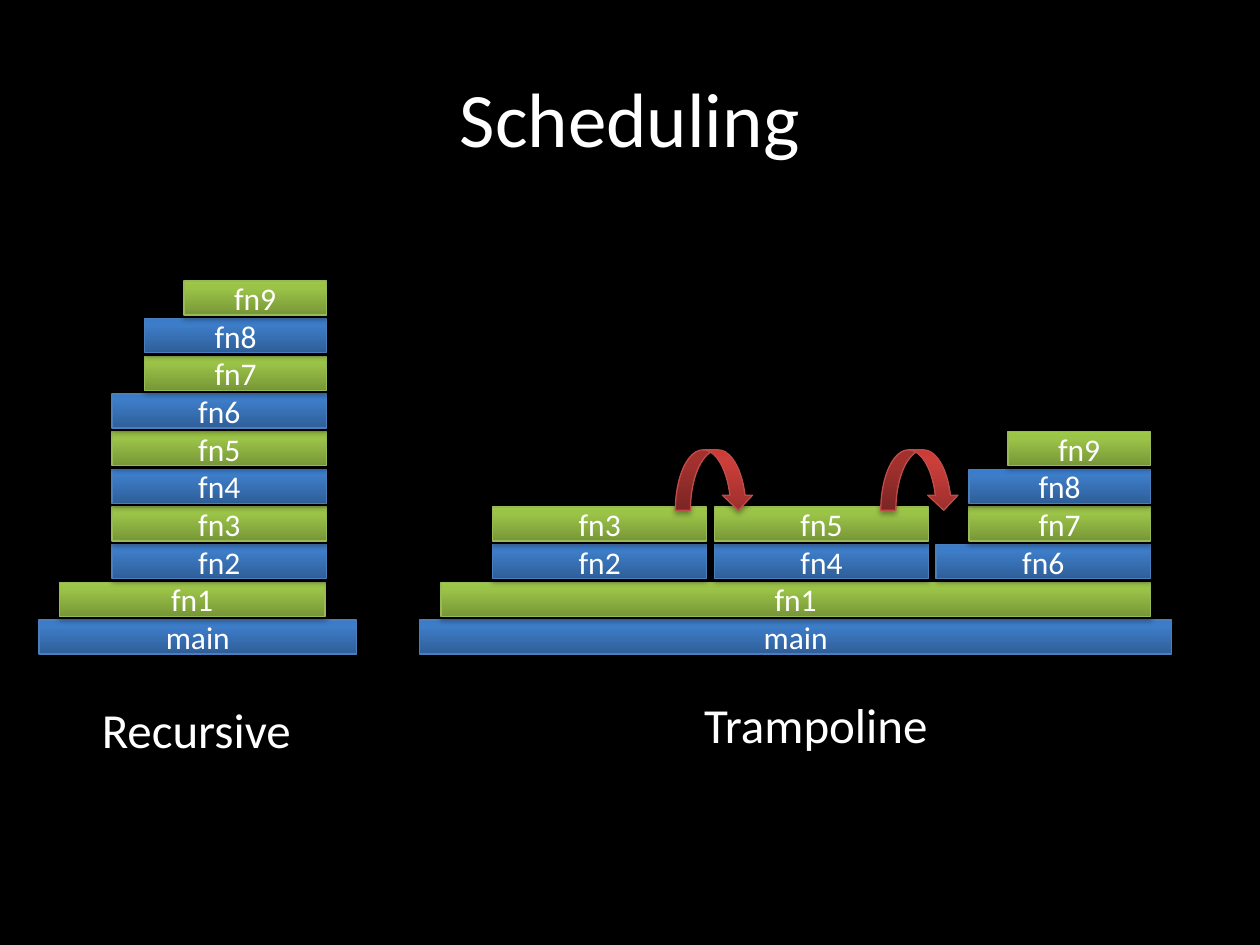
import pptx
import pptx.util
import pptx.dml.color
import pptx.enum.shapes
import pptx.enum.text
import pptx.oxml.ns
from lxml import etree

Inches, Pt = pptx.util.Inches, pptx.util.Pt
RGB = pptx.dml.color.RGBColor.from_string
SHAPE = pptx.enum.shapes.MSO_SHAPE
ALIGN = pptx.enum.text.PP_ALIGN
ANCHOR = pptx.enum.text.MSO_ANCHOR
qn = pptx.oxml.ns.qn

TITLE = "Scheduling"
# Each pile of calls: level of its lowest frame, then (name, left, width) upwards
PILES = [
    (0, [("main", 0.31, 2.52), ("fn1", 0.47, 2.11), ("fn2", 0.89, 1.7),
         ("fn3", 0.89, 1.7), ("fn4", 0.89, 1.7), ("fn5", 0.89, 1.7),
         ("fn6", 0.89, 1.7), ("fn7", 1.15, 1.44), ("fn8", 1.15, 1.44),
         ("fn9", 1.46, 1.13)]),
    (0, [("main", 3.33, 5.97), ("fn1", 3.5, 5.63)]),
    (2, [("fn2", 3.91, 1.7), ("fn3", 3.91, 1.7)]),
    (2, [("fn4", 5.67, 1.7), ("fn5", 5.67, 1.7)]),
    (2, [("fn6", 7.43, 1.7), ("fn7", 7.69, 1.44), ("fn8", 7.69, 1.44),
         ("fn9", 8, 1.13)]),
]
CAPTIONS = [("Recursive", 0.71, 5.5, 1.74), ("Trampoline", 5.49, 5.46, 2.03)]
BOUNCE_LEFTS = [5.36, 6.99]

GROUND, SUMMIT, TOP_LEVEL = 4.92, 2.23, 9
STEP = (GROUND - SUMMIT) / TOP_LEVEL
FRAME_HEIGHT = 0.27

THEME = {
    "background": "000000",
    "text": "FFFFFF",
    "font": "Calibri",
    "title": 44,
    "caption": 28,
    "frame": 18,
    "blue": {"stops": ["2F5F99", "3D7CC7", "3A7CCB"], "line": "4B7EBC"},
    "green": {"stops": ["779737", "9BC348", "9DC746"], "line": "98B955"},
    "red": {"stops": ["9C2F2D", "CB3E3A", "CE3B37"], "line": "BF4C48"},
}


def add_color(parent, tag, color, **attrs):
    node = etree.SubElement(parent, qn(tag), {k: str(v) for k, v in attrs.items()})
    return etree.SubElement(node, qn("a:srgbClr"), val=color)


def write(tf, text, size, align):
    p = tf.paragraphs[0]
    p.alignment = align
    r = p.add_run()
    r.text = text
    for name, value in {"name": THEME["font"], "size": Pt(THEME[size])}.items():
        setattr(r.font, name, value)
    r.font.color.rgb = RGB(THEME["text"])


def add_glossy(slide, kind, box, palette):
    """Add a shape with a bottom-to-top gradient, thin outline and soft shadow."""
    s = slide.shapes.add_shape(kind, *map(Inches, box))
    s.fill.gradient()
    s.fill.gradient_angle = 90
    spPr = s._element.spPr
    stops = spPr.find(".//" + qn("a:gsLst"))
    for stop in list(stops):
        stops.remove(stop)
    for pos, color in zip((0, 80000, 100000), THEME[palette]["stops"]):
        add_color(stops, "a:gs", color, pos=pos)
    s.line.color.rgb = RGB(THEME[palette]["line"])
    s.line.width = Pt(0.75)
    s.shadow.inherit = False
    black = add_color(spPr.find(qn("a:effectLst")), "a:outerShdw", "000000",
                      blurRad=Pt(3.1), dist=Pt(1.8), dir=5400000, rotWithShape=0)
    etree.SubElement(black, qn("a:alpha"), val="35000")
    return s


def main():
    prs = pptx.Presentation()
    prs.slide_width, prs.slide_height = Inches(10), Inches(7.5)
    slide = prs.slides.add_slide(prs.slide_layouts[5])
    slide.background.fill.solid()
    slide.background.fill.fore_color.rgb = RGB(THEME["background"])

    title = slide.shapes.title
    place = {"left": 0.5, "top": 0.3, "width": 9, "height": 1.25}
    for name, value in place.items():
        setattr(title, name, Inches(value))
    title.text_frame.vertical_anchor = ANCHOR.MIDDLE
    write(title.text_frame, TITLE, "title", ALIGN.CENTER)

    for base, frames in PILES:
        for level, (name, left, width) in enumerate(frames, base):
            box = (left, GROUND - level * STEP, width, FRAME_HEIGHT)
            palette = "green" if level % 2 else "blue"
            s = add_glossy(slide, SHAPE.RECTANGLE, box, palette)
            s.text_frame.vertical_anchor = ANCHOR.MIDDLE
            write(s.text_frame, name, "frame", ALIGN.CENTER)

    for text, left, top, width in CAPTIONS:
        tf = slide.shapes.add_textbox(*map(Inches, (left, top, width, 0.57))).text_frame
        tf.word_wrap = False
        tf.auto_size = pptx.enum.text.MSO_AUTO_SIZE.SHAPE_TO_FIT_TEXT
        write(tf, text, "caption", ALIGN.LEFT)

    for left in BOUNCE_LEFTS:
        add_glossy(slide, SHAPE.CURVED_DOWN_ARROW, (left, 3.57, 0.62, 0.48), "red")

    prs.save("out.pptx")


if __name__ == "__main__":
    main()
